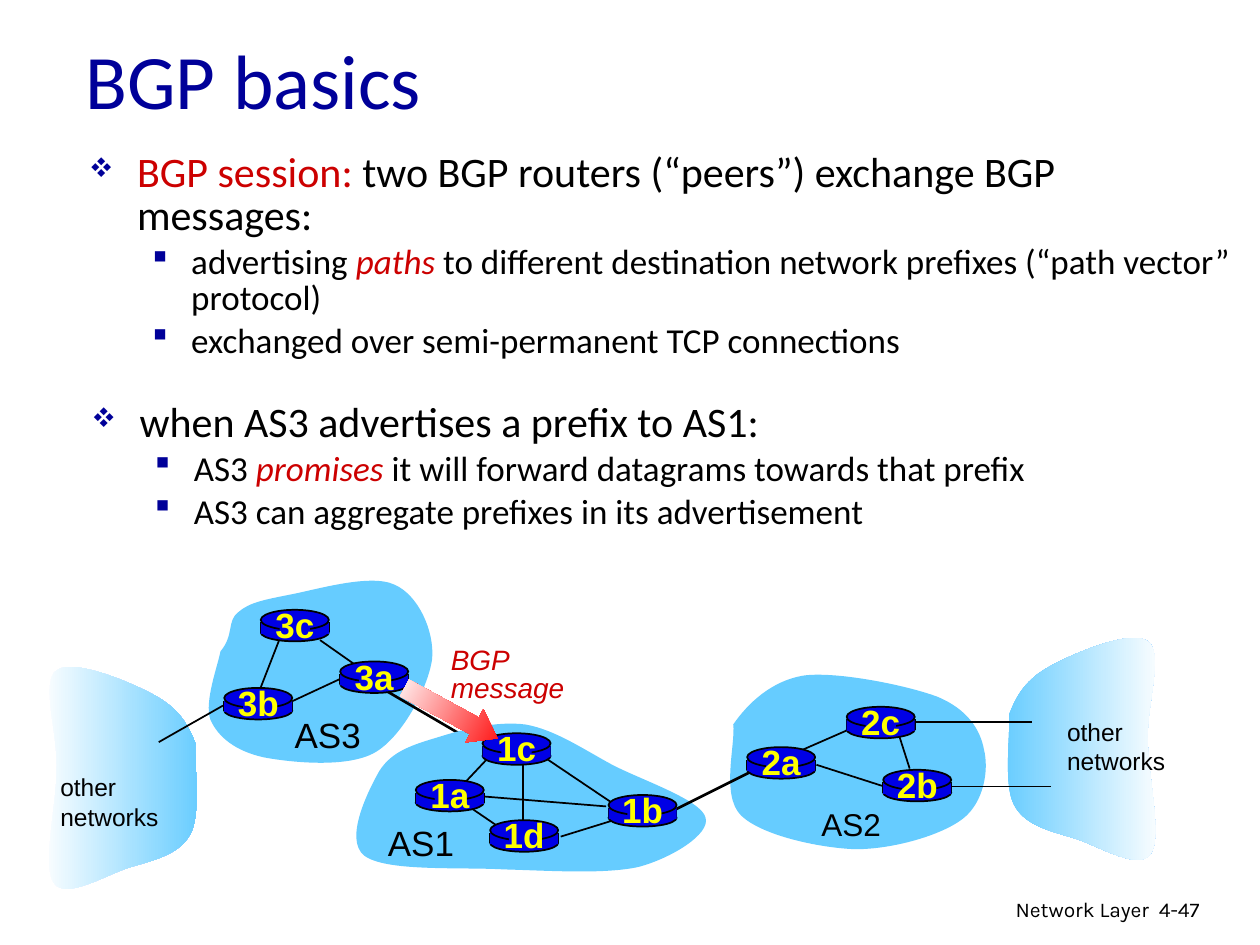
from lxml import etree
from pptx import Presentation
from pptx.dml.color import RGBColor
from pptx.enum.shapes import MSO_CONNECTOR, MSO_SHAPE
from pptx.enum.text import MSO_ANCHOR, PP_ALIGN
from pptx.oxml.ns import qn
from pptx.util import Inches, Pt

LINE = MSO_CONNECTOR.STRAIGHT
OVAL, RECT, ARROW = MSO_SHAPE.OVAL, MSO_SHAPE.RECTANGLE, MSO_SHAPE.LEFT_ARROW
MIDDLE = MSO_ANCHOR.MIDDLE
LEFT, CENTER, RIGHT = PP_ALIGN.LEFT, PP_ALIGN.CENTER, PP_ALIGN.RIGHT

COLORS = {"navy": "000099", "red": "CC0000", "black": "000000", "sky": "66CCFF",
          "white": "FFFFFF", "blue": "0000E5", "yellow": "FFFF00", "hot": "FF0000"}

BULLETS = [("v", 65, 0.38, 0.38, 24), ("§", None, 0.81, 0.31, 20)]

SESSION = [
    (0, [("BGP session: ", "red", False),
         ("two BGP routers (“peers”) exchange BGP messages:", "black", False)]),
    (1, [("advertising ", "black", False), ("paths ", "red", True),
         ("to different destination network prefixes (“path vector” protocol)", "black", False)]),
    (1, [("exchanged over semi-permanent TCP connections", "black", False)]),
]
PREFIX = [
    (0, [("when AS3 advertises a prefix to AS1:", "black", False)]),
    (1, [("AS3 ", "black", False), ("promises", "red", True),
         (" it will forward datagrams towards that prefix", "black", False)]),
    (1, [("AS3 can aggregate prefixes in its advertisement", "black", False)]),
]

OTHER = [(8.01, 5.67), (8.07, 5.51), (8.15, 5.39), (8.33, 5.29), (8.51, 5.19), (8.98, 4.99),
         (9.11, 5.09), (9.24, 5.18), (9.1, 5.59), (9.11, 5.87), (9.11, 6.16), (9.23, 6.65),
         (9.13, 6.78), (9.04, 6.91), (8.73, 6.72), (8.55, 6.66), (8.36, 6.6), (8.14, 6.56),
         (8.05, 6.39), (7.96, 6.23), (8.02, 5.82), (8.01, 5.67)]
AS2 = [(5.82, 5.75), (5.93, 5.59), (6.12, 5.4), (6.39, 5.36), (6.66, 5.33), (7.2, 5.44),
       (7.44, 5.53), (7.68, 5.63), (7.78, 5.79), (7.81, 5.95), (7.85, 6.11), (7.81, 6.37),
       (7.64, 6.5), (7.47, 6.63), (7.09, 6.74), (6.79, 6.74), (6.5, 6.73), (6.04, 6.63),
       (5.88, 6.47), (5.72, 6.31), (5.84, 5.9), (5.82, 5.75)]
AS3 = [(1.75, 5.17), (1.86, 5.04), (1.8, 4.93), (1.89, 4.86), (1.98, 4.78), (2.1, 4.76),
       (2.3, 4.72), (2.51, 4.68), (2.94, 4.55), (3.13, 4.64), (3.32, 4.72), (3.45, 5.01),
       (3.43, 5.23), (3.4, 5.45), (3.2, 5.84), (2.98, 5.97), (2.76, 6.1), (2.3, 6.05),
       (2.09, 6.01), (1.87, 5.96), (1.73, 5.85), (1.67, 5.71), (1.62, 5.57), (1.73, 5.28),
       (1.75, 5.17)]
AS1 = [(3.01, 6.12), (3.11, 5.96), (3.28, 5.91), (3.48, 5.85), (3.67, 5.79), (3.94, 5.72),
       (4.17, 5.75), (4.4, 5.79), (4.62, 5.94), (4.86, 6.07), (5.09, 6.19), (5.57, 6.35),
       (5.6, 6.49), (5.64, 6.62), (5.33, 6.81), (5.07, 6.88), (4.8, 6.94), (4.36, 6.91),
       (4, 6.9), (3.64, 6.88), (3.06, 6.92), (2.89, 6.79), (2.73, 6.66), (2.92, 6.28),
       (3.01, 6.12)]

LINKS = [(2.31, 5.57, 2.74, 5.37, 1), (2.81, 5.27, 2.54, 5.08, 1), (2.22, 5.07, 2.06, 5.48, 1),
         (1.77, 5.6, 1.26, 5.89, 1), (3.87, 6.02, 3.7, 6.2, 1), (4.15, 6.06, 4.15, 6.56, 1),
         (4.32, 6.01, 4.87, 6.38, 1), (4.87, 6.51, 4.45, 6.64, 1), (4.81, 6.4, 3.82, 6.32, 1),
         (3.72, 6.4, 3.94, 6.55, 1), (6.28, 5.99, 6.76, 5.78, 1), (6.48, 6.07, 7.01, 6.24, 1),
         (7.14, 5.85, 7.22, 6.1, 1), (7.26, 5.73, 8.19, 5.73, 0.75),
         (7.53, 6.24, 8.34, 6.24, 0.75), (5.37, 6.42, 5.95, 6.13, 1.5)]

ROUTERS = [("3b", 1.78, 5.57), ("3c", 2.07, 4.95), ("3a", 2.7, 5.36), ("1c", 3.83, 5.93),
           ("1a", 3.3, 6.3), ("1d", 3.89, 6.62), ("1b", 4.83, 6.42), ("2a", 5.93, 6.04),
           ("2c", 6.72, 5.72), ("2b", 7.01, 6.22)]


def rgb(name):
    return RGBColor.from_string(COLORS[name])


def paint(shape, fill, edge=None):
    shape.shadow.inherit = False
    if isinstance(fill, tuple):
        shape.fill.gradient()
        shape.fill.gradient_angle = 0
        for stop, name in zip(shape.fill.gradient_stops, fill):
            stop.color.rgb = rgb(name)
    else:
        shape.fill.solid()
        shape.fill.fore_color.rgb = rgb(fill)
    if edge:
        shape.line.color.rgb = rgb(edge)
        shape.line.width = Pt(1)
    else:
        shape.line.fill.background()


def add_run(para, text, size, color, face="Arial", bold=False, slant=False):
    run = para.add_run()
    run.text = text
    font = run.font
    font.name, font.size, font.bold, font.italic = face, Pt(size), bold, slant
    font.color.rgb = rgb(color)


def add_box(shapes, x, y, w, h, wrap=False):
    frame = shapes.add_textbox(Inches(x), Inches(y), Inches(w), Inches(h)).text_frame
    frame.word_wrap = wrap
    return frame


def add_label(shapes, box, lines, size, color="black", align=LEFT, gap=None, **look):
    frame = add_box(shapes, *box)
    for i, text in enumerate(lines):
        para = frame.add_paragraph() if i else frame.paragraphs[0]
        para.alignment = align
        para.line_spacing = gap
        add_run(para, text, size, color, **look)


def add_bullet(para, level):
    mark, scale, left, hang, size = BULLETS[level]
    props = para._p.get_or_add_pPr()
    props.set("marL", str(Inches(left)))
    props.set("indent", str(-Inches(hang)))
    tint = etree.SubElement(props, qn("a:buClr"))
    etree.SubElement(tint, qn("a:srgbClr")).set("val", COLORS["navy"])
    if scale:
        etree.SubElement(props, qn("a:buSzPct")).set("val", str(scale * 1000))
    face = etree.SubElement(props, qn("a:buFont"))
    face.set("typeface", "Wingdings")
    face.set("charset", "2")
    etree.SubElement(props, qn("a:buChar")).set("char", mark)
    para.level = level
    return size


def add_list(shapes, x, y, h, items):
    frame = add_box(shapes, x, y, 9.3, h, True)
    for i, (level, parts) in enumerate(items):
        para = frame.add_paragraph() if i else frame.paragraphs[0]
        size = add_bullet(para, level)
        para.line_spacing = 0.85
        para.space_before = Pt(size * 0.2 if i else 0)
        for text, color, slant in parts:
            add_run(para, text, size, color, "Calibri", slant=slant)


def add_link(shapes, x1, y1, x2, y2, width=1):
    link = shapes.add_connector(LINE, Inches(x1), Inches(y1), Inches(x2), Inches(y2))
    link.line.color.rgb = rgb("black")
    link.line.width = Pt(width)
    etree.SubElement(link._element.spPr, qn("a:effectLst"))


def bend(shape):
    sides = list(shape._element.iter(qn("a:lnTo")))
    for i in range(0, len(sides), 3):
        curve = etree.Element(qn("a:cubicBezTo"))
        sides[i].addprevious(curve)
        for side in sides[i:i + 3]:
            curve.append(side[0])
            side.getparent().remove(side)


def add_cloud(shapes, knots, fill):
    spots = [(Inches(x), Inches(y)) for x, y in knots]
    pen = shapes.build_freeform(*spots[0])
    pen.add_line_segments(spots[1:], close=False)
    cloud = pen.convert_to_shape()
    bend(cloud)
    track = next(cloud._element.iter(qn("a:path")))
    etree.SubElement(track, qn("a:close"))
    paint(cloud, fill)


def add_form(shapes, kind, x, y, w, h, fill, edge=None):
    form = shapes.add_shape(kind, Inches(x), Inches(y), Inches(w), Inches(h))
    paint(form, fill, edge)
    return form


def add_router(slide, name, x, y):
    shapes = slide.shapes.add_group_shape().shapes
    add_form(shapes, OVAL, x, y, 0.54, 0.14, "blue", "black")
    for side in (x, x + 0.54):
        add_link(shapes, side, y - 0.01, side, y + 0.07)
    add_form(shapes, RECT, x, y - 0.01, 0.54, 0.09, "blue")
    add_form(shapes, OVAL, x, y - 0.11, 0.54, 0.16, "blue", "black")
    add_form(shapes, RECT, x + 0.15, y - 0.09, 0.24, 0.2, "blue")
    add_label(shapes, (x, y - 0.21, 0.54, 0.44), [name], 20, "yellow", CENTER, bold=True)


def add_title(slide):
    title = slide.shapes.title
    title.left, title.top = Inches(0.58), Inches(0)
    title.width, title.height = Inches(8.5), Inches(1.25)
    title.text_frame.vertical_anchor = MIDDLE
    para = title.text_frame.paragraphs[0]
    para.alignment = LEFT
    add_run(para, "BGP basics", 44, "navy", "Calibri")


def add_message(shapes):
    arrow = add_form(shapes, ARROW, 3.16, 5.51, 0.84, 0.3, ("hot", "white"))
    arrow.adjustments[0], arrow.adjustments[1] = 0.5, 0.7
    arrow.rotation = 208.5
    add_label(shapes, (3.48, 5.09, 1.1, 0.56), ["BGP", "message"], 16, "red",
              gap=0.85, slant=True)


def main():
    deck = Presentation()
    deck.slide_width, deck.slide_height = Inches(10), Inches(7.5)
    slide = deck.slides.add_slide(deck.slide_layouts[5])
    shapes = slide.shapes
    add_title(slide)
    add_list(shapes, 0.61, 1.17, 2.18, SESSION)
    add_list(shapes, 0.63, 3.15, 2.57, PREFIX)
    add_cloud(shapes, OTHER, ("sky", "white"))
    add_cloud(shapes, [(9.56 - x, y + 0.23) for x, y in OTHER], ("white", "sky"))
    add_cloud(shapes, AS2, "sky")
    add_cloud(shapes, AS3, "sky")
    add_link(shapes, 3.06, 5.48, 3.83, 5.93, 1.5)
    add_cloud(shapes, AS1, "sky")
    for link in LINKS:
        add_link(shapes, *link)
    for router in ROUTERS:
        add_router(slide, *router)
    for name, x, y, size in (("AS3", 2.24, 5.61, 20), ("AS2", 6.42, 6.34, 18),
                             ("AS1", 2.98, 6.47, 20)):
        add_label(shapes, (x, y, 0.73, 0.43), [name], size)
    for x, y in ((8.37, 5.64), (0.38, 6.08)):
        add_label(shapes, (x, y, 0.98, 0.57), ["other", "networks"], 14)
    add_message(shapes)
    add_label(shapes, (6.05, 7.07, 3.17, 0.3), ["Network Layer"], 12, align=RIGHT, face="Karla")
    add_label(shapes, (9.1, 7.07, 0.74, 0.3), ["4-47"], 12, face="Karla")
    deck.save("out.pptx")


if __name__ == "__main__":
    main()
